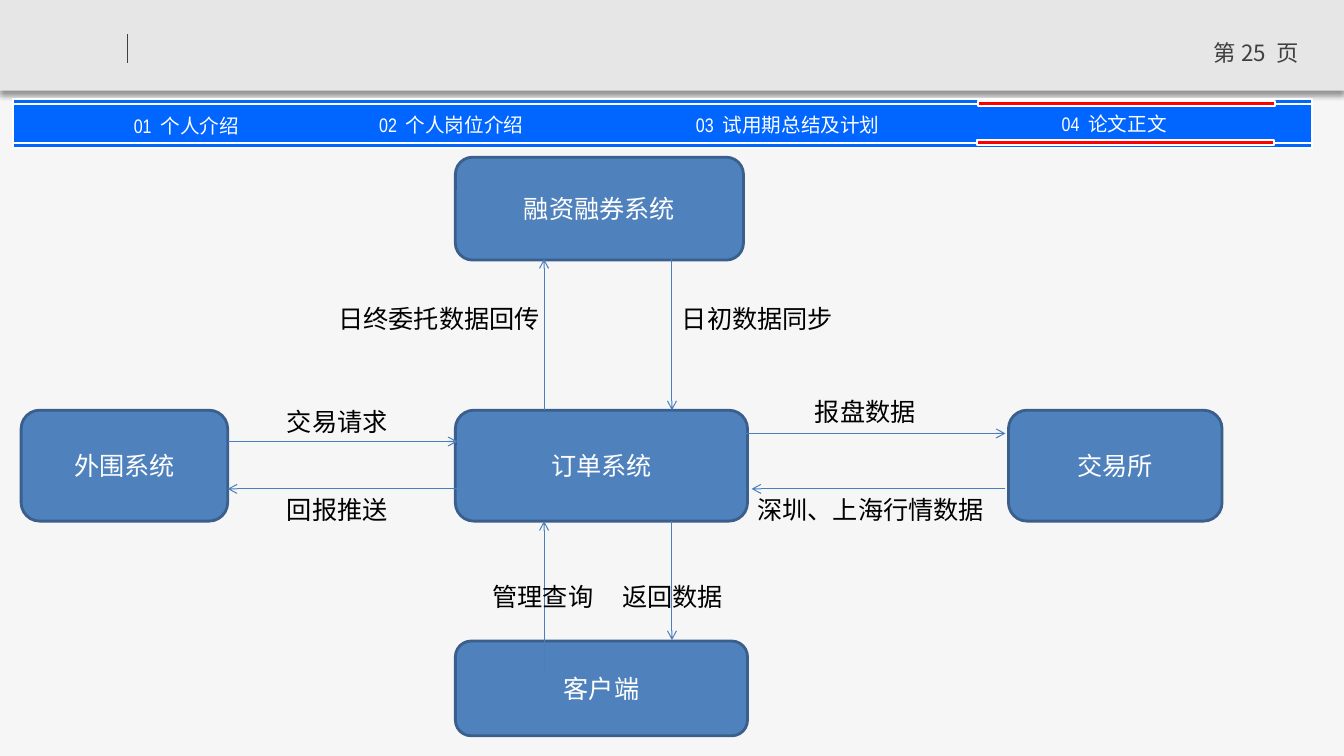
"""Builds the slide of data flows around the order system."""
from dataclasses import dataclass

from lxml.etree import SubElement
from pptx import Presentation
from pptx.dml.color import RGBColor
from pptx.enum.shapes import MSO_CONNECTOR as Connector, MSO_SHAPE as Shape
from pptx.enum.text import MSO_ANCHOR as Anchor, PP_ALIGN as Align
from pptx.oxml import parse_xml
from pptx.oxml.ns import nsdecls, qn
from pptx.util import Inches, Pt


@dataclass(frozen=True)
class Theme:
    background: str = "F6F6F6"
    header: str = "E6E6E6"
    header_text: str = "404040"
    navigation: str = "0066FF"
    highlight: str = "FF0000"
    white: str = "FFFFFF"
    black: str = "000000"
    box: str = "4F81BD"
    box_line: str = "3A5F8C"
    arrow: str = "4B7EBC"
    body_font: str = "Calibri"
    navigation_font: str = "Arial Narrow"
    chinese_font: str = "Noto Sans CJK SC"
    body_size: int = 18
    page_size: int = 16
    navigation_size: int = 14


THEME = Theme()


def write_text(shape, text, *, size, font, color, align=Align.LEFT,
               anchor=Anchor.TOP, margin=None, gap=0):
    frame = shape.text_frame
    frame.word_wrap = True
    frame.vertical_anchor = anchor
    if margin is not None:
        frame.margin_left = frame.margin_right = Inches(margin)
        frame.margin_top = frame.margin_bottom = Inches(margin)
    paragraph = frame.paragraphs[0]
    paragraph.alignment = align
    for part in text.rpartition(" ") if gap else [text]:
        run = paragraph.add_run()
        run.text = part
        run.font.size = Pt(size)
        run.font.name = font
        run.font.color.rgb = RGBColor.from_string(color)
        properties = run.font._element
        SubElement(properties, qn("a:ea"), typeface=THEME.chinese_font)
        if part == " ":
            properties.set("spc", str(gap * 100))


class FlowSlide:
    def __init__(self, presentation, theme):
        self.theme = theme
        self.slide = presentation.slides.add_slide(presentation.slide_layouts[6])
        fill = self.slide.background.fill
        fill.solid()
        fill.fore_color.rgb = RGBColor.from_string(theme.background)

    def block(self, bounds, fill, line=None, width=1.5, kind=Shape.RECTANGLE):
        shape = self.slide.shapes.add_shape(kind, *map(Inches, bounds))
        shape.shadow.inherit = False
        shape.fill.solid()
        shape.fill.fore_color.rgb = RGBColor.from_string(fill)
        if line:
            shape.line.color.rgb = RGBColor.from_string(line)
            shape.line.width = Pt(width)
        else:
            shape.line.fill.background()
        return shape

    def header(self, bounds):
        shape = self.block(bounds, self.theme.header)
        effects = shape._element.spPr.find(qn("a:effectLst"))
        effects.append(parse_xml(
            f'<a:outerShdw {nsdecls("a")} blurRad="{Pt(4)}" dist="{Pt(3)}" '
            'dir="5400000" algn="t" rotWithShape="0"><a:srgbClr val="000000">'
            '<a:alpha val="40000"/></a:srgbClr></a:outerShdw>'))

    def system(self, bounds, name):
        theme = self.theme
        shape = self.block(bounds, theme.box, theme.box_line, 2,
                           Shape.FLOWCHART_ALTERNATE_PROCESS)
        write_text(shape, name, size=theme.body_size, font=theme.body_font,
                   color=theme.white, align=Align.CENTER, anchor=Anchor.MIDDLE)

    def text(self, bounds, text, **style):
        box = self.slide.shapes.add_textbox(*map(Inches, bounds))
        write_text(box, text, **style)

    def line(self, start, end, color, arrow=False):
        connector = self.slide.shapes.add_connector(
            Connector.STRAIGHT, *map(Inches, (*start, *end)))
        connector.line.color.rgb = RGBColor.from_string(color)
        connector.line.width = Pt(0.75)
        if arrow:
            SubElement(connector.line._get_or_add_ln(), qn("a:tailEnd"), type="arrow")
        SubElement(connector._element.spPr, qn("a:effectLst"))


def main():
    presentation = Presentation()
    presentation.slide_width = Inches(13.34)
    presentation.slide_height = Inches(7.5)
    flow = FlowSlide(presentation, THEME)

    flow.header((0, 0, 13.34, 0.9))
    flow.line((1.27, 0.34), (1.27, 0.63), THEME.header_text)
    flow.text((11.87, 0.34, 1.2, 0.4), "第 25 页", size=THEME.page_size,
              font=THEME.chinese_font, color=THEME.header_text,
              align=Align.CENTER, gap=4)

    for top, height in ((1.03, 0.43), (1.42, 0.05), (0.98, 0.05)):
        flow.block((0.13, top, 12.89, height), THEME.navigation, THEME.white)
    chapters = [
        (0.61, 1.13, "01 个人介绍"),
        (3.24, 1.12, "02 个人岗位介绍"),
        (6.58, 1.12, "03 试用期总结及计划"),
        (9.82, 1.11, "04 论文正文"),
    ]
    for left, top, chapter in chapters:
        flow.text((left, top, 2.48, 0.24), chapter, size=THEME.navigation_size,
                  font=THEME.navigation_font, color=THEME.white,
                  align=Align.CENTER, anchor=Anchor.MIDDLE, margin=0, gap=3)
    for left, top in ((9.71, 1), (9.7, 1.39)):
        flow.block((left, top, 2.95, 0.05), THEME.highlight, THEME.white)

    systems = [
        ((4.52, 1.56, 2.86, 1.02), "融资融券系统"),
        ((4.52, 4.07, 2.9, 1.1), "订单系统"),
        ((0.21, 4.07, 2.05, 1.1), "外围系统"),
        ((10.01, 4.07, 2.12, 1.1), "交易所"),
        ((4.52, 6.36, 2.9, 0.94), "客户端"),
    ]
    for bounds, name in systems:
        flow.system(bounds, name)

    up, down, lower = 5.4, 6.67, 4.85
    flows = [
        ((up, 4.07), (up, 2.57), (3.26, 2.96, 2.39), "日终委托数据回传"),
        ((down, 2.57), (down, 4.07), (6.67, 2.96, 1.77), "日初数据同步"),
        ((2.26, 4.38), (4.54, 4.38), (2.75, 3.98, 1.7), "交易请求"),
        ((4.54, lower), (2.26, lower), (2.75, lower, 1.7), "回报推送"),
        ((7.38, 4.3), (9.98, 4.3), (7.99, 3.88, 1.77), "报盘数据"),
        ((9.98, lower), (7.46, lower), (7.42, lower, 2.56), "深圳、上海行情数据"),
        ((up, 6.66), (up, 5.17), (4.79, 5.72, 1.25), "管理查询"),
        ((down, 5.17), (down, 6.35), (6.08, 5.72, 1.37), "返回数据"),
    ]
    for start, end, place, label in flows:
        flow.line(start, end, THEME.arrow, arrow=True)
        flow.text((*place, 0.4), label, size=THEME.body_size,
                  font=THEME.body_font, color=THEME.black)

    presentation.save("out.pptx")


if __name__ == "__main__":
    main()
